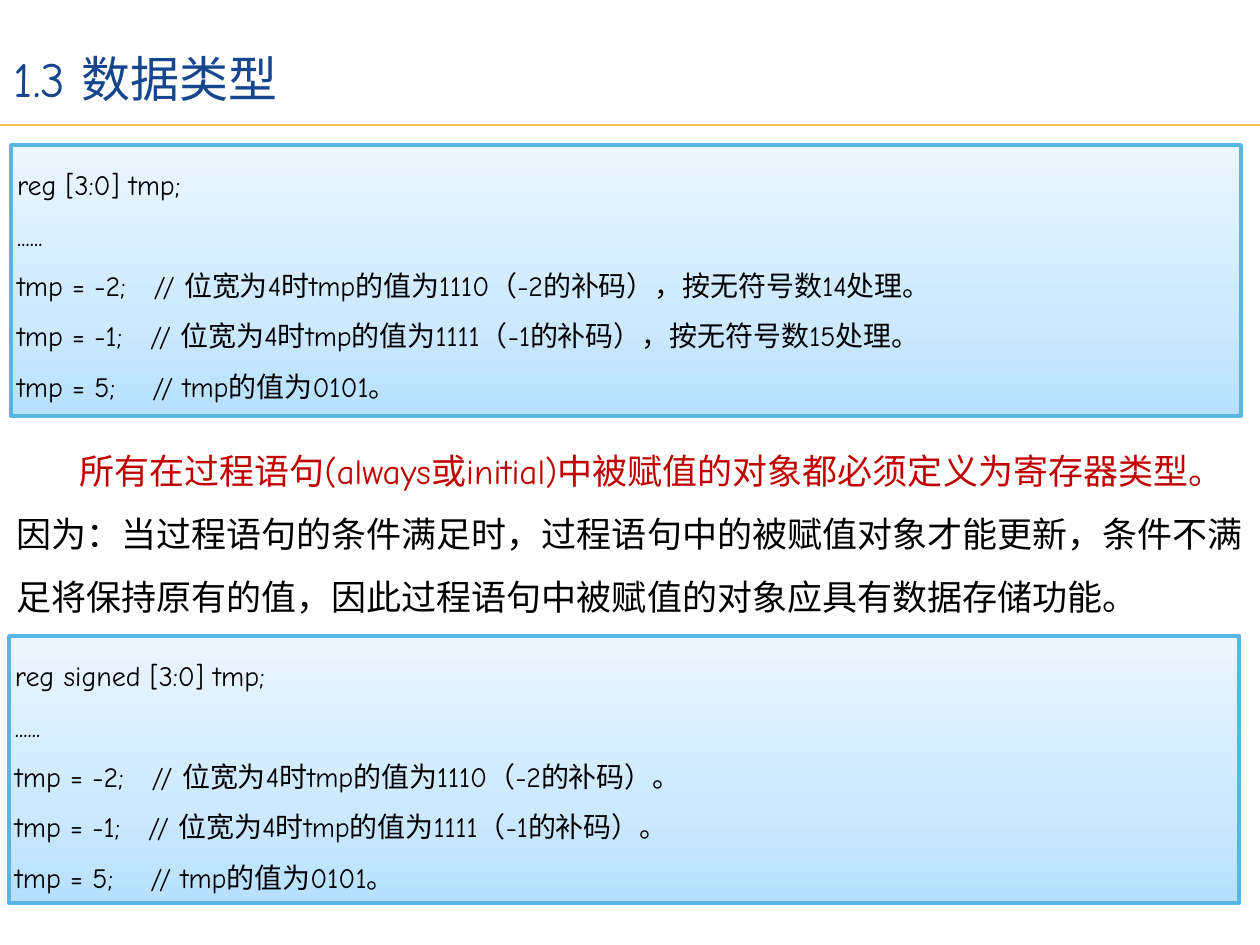
"""Build the slide on Verilog data types with two code panels and a rule."""
from copy import deepcopy

from lxml.etree import SubElement
from pptx import Presentation
from pptx.dml.color import RGBColor
from pptx.enum.shapes import MSO_CONNECTOR, MSO_SHAPE
from pptx.enum.text import MSO_ANCHOR, PP_ALIGN
from pptx.oxml.ns import qn
from pptx.util import Inches, Pt

THEME = {
    "font": "Comic Neue",
    "title": "16468D",
    "text": "000000",
    "emphasis": "C00000",
    "rule": "FFBA55",
    "border": "58B6E5",
    "gradient": [(0, "B7E0FF"), (0.35, "CCE9FF"), (1, "EBF6FF")],
    "title_size": 28,
    "body_size": 20,
    "code_size": 16,
}
PIXEL = Inches(1) / 126


def px(*lengths):
    return [round(length * PIXEL) for length in lengths]


def write(shape, paragraphs, size, indent=0):
    frame = shape.text_frame
    margin = px(6)[0]
    frame_format = {
        "word_wrap": True,
        "vertical_anchor": MSO_ANCHOR.TOP,
        "margin_left": margin,
        "margin_top": margin,
        "margin_right": margin,
        "margin_bottom": margin,
    }
    for name, value in frame_format.items():
        setattr(frame, name, value)
    for index, runs in enumerate(paragraphs):
        paragraph = frame.add_paragraph() if index else frame.paragraphs[0]
        paragraph.alignment = PP_ALIGN.LEFT
        paragraph.line_spacing = 1.5
        if indent:
            paragraph._p.get_or_add_pPr().set("indent", str(px(indent)[0]))
        for text, color in runs:
            run = paragraph.add_run()
            run.text = text
            for name, value in {"name": THEME["font"], "size": Pt(size)}.items():
                setattr(run.font, name, value)
            run.font.color.rgb = RGBColor.from_string(THEME[color])


presentation = Presentation()
presentation.slide_width, presentation.slide_height = px(1260, 945)
slide = presentation.slides.add_slide(presentation.slide_layouts[6])

rule = slide.shapes.add_connector(MSO_CONNECTOR.STRAIGHT, *px(0, 125, 1260, 125))
rule.line.color.rgb = RGBColor.from_string(THEME["rule"])
rule.line.width = Pt(1)
SubElement(rule._element.spPr, qn("a:effectLst"))

title = slide.shapes.add_textbox(*px(8, 13, 672, 102))
write(title, [[("1.3 数据类型", "title")]], THEME["title_size"])

code_panels = [
    ((11, 145, 1230, 271), "reg [3:0] tmp;", "，按无符号数14处理。", "，按无符号数15处理。"),
    ((9, 636, 1230, 267), "reg signed [3:0] tmp;", "。", "。"),
]
for bounds, declaration, first_ending, second_ending in code_panels:
    panel = slide.shapes.add_shape(MSO_SHAPE.RECTANGLE, *px(*bounds))
    panel.shadow.inherit = False
    panel.line.color.rgb = RGBColor.from_string(THEME["border"])
    panel.line.width = Pt(2)
    panel.fill.gradient()
    panel.fill.gradient_angle = 90
    stop_list = panel._element.spPr.find(".//" + qn("a:gsLst"))
    stop_list.insert(1, deepcopy(stop_list[0]))
    for stop, (position, color) in zip(panel.fill.gradient_stops, THEME["gradient"]):
        stop.position = position
        stop.color.rgb = RGBColor.from_string(color)
    code_lines = [
        declaration,
        "......",
        f"tmp = -2;   // 位宽为4时tmp的值为1110（-2的补码）{first_ending}",
        f"tmp = -1;   // 位宽为4时tmp的值为1111（-1的补码）{second_ending}",
        "tmp = 5;    // tmp的值为0101。",
    ]
    write(panel, [[(line, "text")] for line in code_lines], THEME["code_size"])

explanation = slide.shapes.add_textbox(*px(10, 423, 1242, 203))
explanation_runs = [
    ("所有在过程语句(always或initial)中被赋值的对象都必须定义为寄存器类型。", "emphasis"),
    (
        "因为：当过程语句的条件满足时，过程语句中的被赋值对象才能更新，"
        "条件不满足将保持原有的值，因此过程语句中被赋值的对象应具有数据存储功能。",
        "text",
    ),
]
write(explanation, [explanation_runs], THEME["body_size"], indent=63)

presentation.save("out.pptx")
